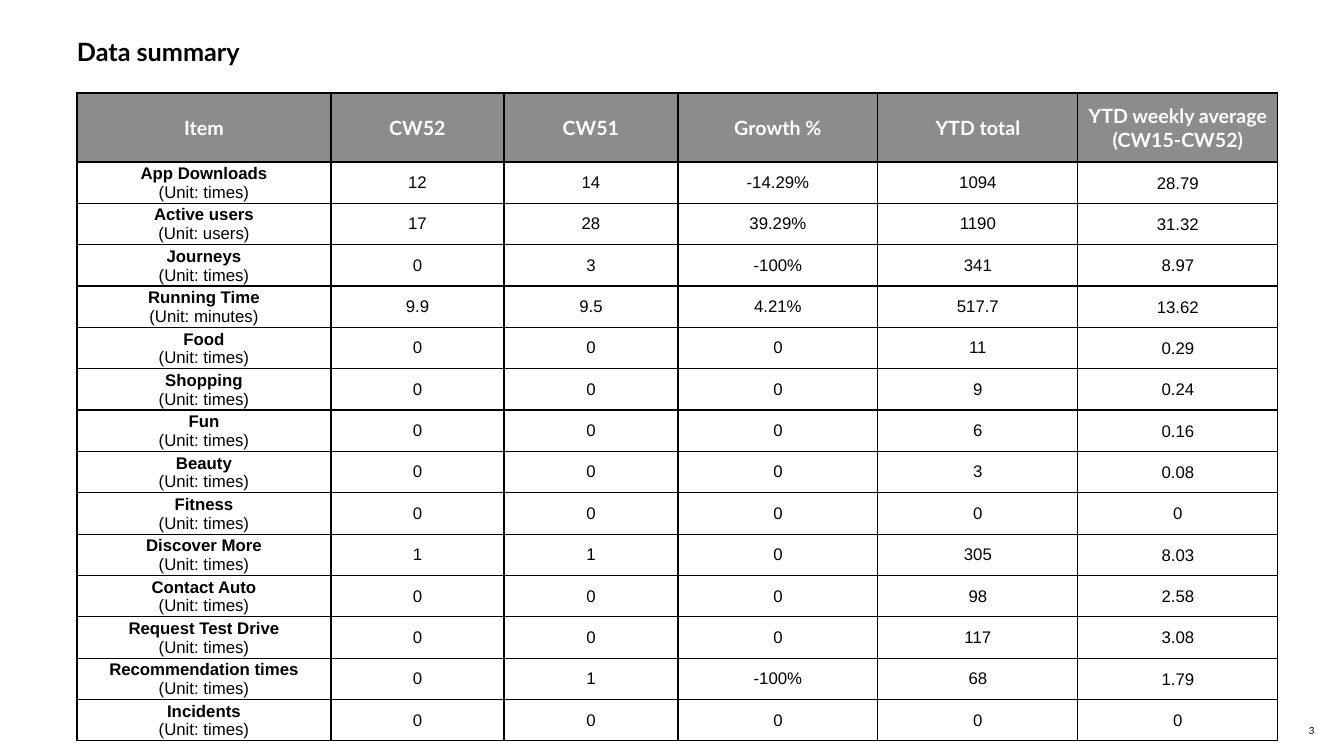
from pptx import Presentation, util as u
from pptx.dml.color import RGBColor
from pptx.enum import text
from pptx.oxml import parse_xml
from pptx.oxml.ns import nsdecls

PX = 914400 / 100.8
BLACK = RGBColor(0x00, 0x00, 0x00)
WHITE = RGBColor(0xFF, 0xFF, 0xFF)
GRAY = RGBColor(0x8C, 0x8C, 0x8C)

COLUMN_WIDTHS = [254, 173, 174, 200, 200, 200]
HEADER_HEIGHT = 69
ROW_HEIGHT = 40
HEADERS = ["Item", "CW52", "CW51", "Growth %", "YTD total",
           "YTD weekly average\n(CW15-CW52)"]
ITEMS = [
    ("App Downloads", "times", "12", "14", "-14.29%", "1094", "28.79"),
    ("Active users", "users", "17", "28", "39.29%", "1190", "31.32"),
    ("Journeys", "times", "0", "3", "-100%", "341", "8.97"),
    ("Running Time", "minutes", "9.9", "9.5", "4.21%", "517.7", "13.62"),
    ("Food", "times", "0", "0", "0", "11", "0.29"),
    ("Shopping", "times", "0", "0", "0", "9", "0.24"),
    ("Fun", "times", "0", "0", "0", "6", "0.16"),
    ("Beauty", "times", "0", "0", "0", "3", "0.08"),
    ("Fitness", "times", "0", "0", "0", "0", "0"),
    ("Discover More", "times", "1", "1", "0", "305", "8.03"),
    ("Contact Auto", "times", "0", "0", "0", "98", "2.58"),
    ("Request Test Drive", "times", "0", "0", "0", "117", "3.08"),
    ("Recommendation times", "times", "0", "1", "-100%", "68", "1.79"),
    ("Incidents", "times", "0", "0", "0", "0", "0"),
]


def px(length):
    return u.Emu(round(length * PX))


def place(shape, left, top, width, height):
    shape.left, shape.top = px(left), px(top)
    shape.width, shape.height = px(width), px(height)


def set_font(paragraph, name, size, color, bold=False):
    font = paragraph.font
    font.name, font.size, font.bold = name, u.Pt(size), bold
    font.color.rgb = color


def clear_margins(frame):
    frame.margin_left = frame.margin_right = 0
    frame.margin_top = frame.margin_bottom = 0


def add_title(slide, words):
    title = slide.shapes.title
    place(title, 77, 33, 1250, 67)
    frame = title.text_frame
    frame.text = words
    frame.word_wrap = True
    frame.auto_size = text.MSO_AUTO_SIZE.NONE
    frame.vertical_anchor = text.MSO_ANCHOR.TOP
    clear_margins(frame)
    paragraph = frame.paragraphs[0]
    paragraph.alignment = text.PP_ALIGN.LEFT
    paragraph.line_spacing = 1.1
    set_font(paragraph, "Lato", 18, BLACK, True)


def add_page_number(slide, number):
    box = slide.shapes.add_textbox(px(1309), px(722), px(35), px(17))
    frame = box.text_frame
    frame.text = number
    frame.word_wrap = True
    frame.vertical_anchor = text.MSO_ANCHOR.MIDDLE
    clear_margins(frame)
    set_font(frame.paragraphs[0], "Lato", 7, BLACK)


def add_borders(cell):
    properties = cell._tc.get_or_add_tcPr()
    for side in ("lnL", "lnR", "lnT", "lnB"):
        properties.append(parse_xml(
            f'<a:{side} {nsdecls("a")} w="12700"><a:solidFill>'
            f'<a:srgbClr val="{BLACK}"/></a:solidFill></a:{side}>'))


def fill_cell(cell, words, tight):
    cell.text = words
    cell.vertical_anchor = text.MSO_ANCHOR.MIDDLE
    if tight:
        cell.margin_left = cell.margin_right = cell.margin_top = px(1)
        cell.margin_bottom = 0
    add_borders(cell)
    for paragraph in cell.text_frame.paragraphs:
        paragraph.alignment = text.PP_ALIGN.CENTER


def fill_header_cell(cell, words, tight):
    fill_cell(cell, words, tight)
    cell.fill.solid()
    cell.fill.fore_color.rgb = GRAY
    for paragraph in cell.text_frame.paragraphs:
        set_font(paragraph, "Lato", 14, WHITE, True)


def fill_body_cell(cell, words, tight, bold_first=False):
    fill_cell(cell, words, tight)
    cell.fill.background()
    for index, paragraph in enumerate(cell.text_frame.paragraphs):
        set_font(paragraph, "Arial", 12, BLACK, bold_first and index == 0)


def add_summary_table(slide):
    height = HEADER_HEIGHT + ROW_HEIGHT * len(ITEMS)
    frame = slide.shapes.add_table(
        len(ITEMS) + 1, len(HEADERS), px(77), px(93),
        px(sum(COLUMN_WIDTHS)), px(height))
    table = frame.table
    table.first_row = table.horz_banding = False
    for column, width in zip(table.columns, COLUMN_WIDTHS):
        column.width = px(width)
    for row in table.rows:
        row.height = px(ROW_HEIGHT)
    table.rows[0].height = px(HEADER_HEIGHT)

    for column, words in enumerate(HEADERS):
        fill_header_cell(table.cell(0, column), words, column > 0)
    last = len(HEADERS) - 1
    for row, (item, unit, *values) in enumerate(ITEMS, 1):
        fill_body_cell(table.cell(row, 0), f"{item}\n(Unit: {unit})", True, True)
        for column, value in enumerate(values, 1):
            fill_body_cell(table.cell(row, column), value, column == last)


def main():
    presentation = Presentation()
    presentation.slide_width = px(1344)
    presentation.slide_height = px(756)
    slide = presentation.slides.add_slide(presentation.slide_layouts[5])
    add_page_number(slide, "3")
    add_title(slide, "Data summary")
    add_summary_table(slide)
    presentation.save("out.pptx")


if __name__ == "__main__":
    main()
